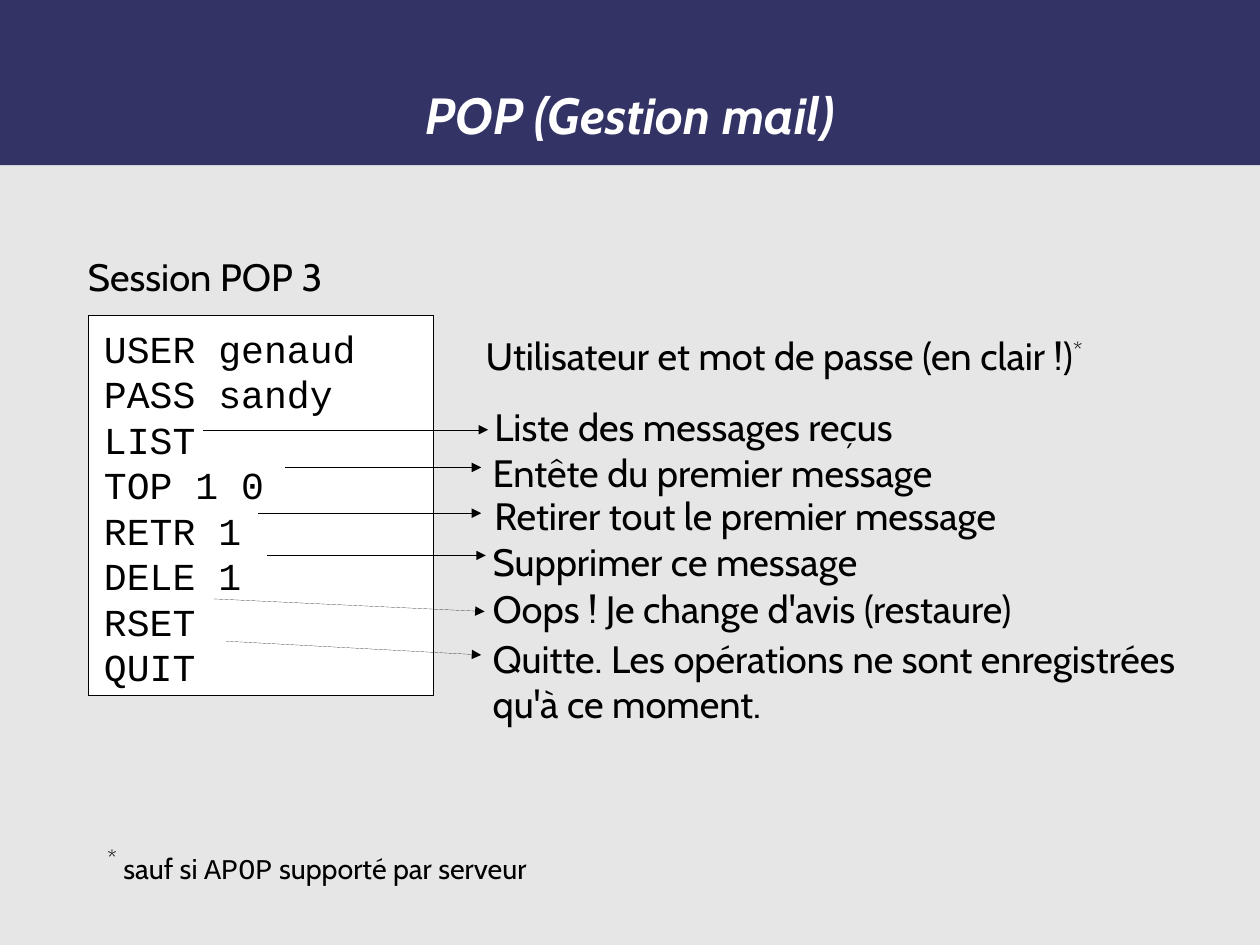
from dataclasses import dataclass

import pptx
import pptx.dml.color
import pptx.enum.shapes
import pptx.enum.text
import pptx.oxml
import pptx.oxml.ns
import pptx.util

SLIDE_WIDTH, SLIDE_HEIGHT = pptx.util.Cm(28), pptx.util.Cm(21)
# The grid has ten columns and ten rows to the inch.
CELL = pptx.util.Inches(0.1)
COLUMNS = SLIDE_WIDTH / CELL
SANS, MONO = "Cabin", "Courier New"
INK, PAPER, NAVY, GREY = "000000", "FFFFFF", "333366", "E6E6E6"
SUPERSCRIPT = "33000"


@dataclass
class Run:
    text: str
    size: float = 24
    font: str = SANS
    color: str = INK
    strong: bool = False
    raised: bool = False


@dataclass
class Area:
    column: float
    row: float
    columns: float
    rows: float = 4.6


@dataclass
class Explanation:
    area: Area
    lines: list[list[Run]]


@dataclass
class Arrow:
    start: tuple[float, float]
    end: tuple[float, float]


COMMANDS = ["USER genaud", "PASS sandy", "LIST", "TOP 1 0",
            "RETR 1", "DELE 1", "RSET", "QUIT"]

EXPLANATIONS = [
    Explanation(Area(42.5, 29.1, 64.6),
                [[Run("Utilisateur et mot de passe (en clair !)"), Run("*", raised=True)]]),
    Explanation(Area(43.25, 35.3, 42.8), [[Run("Liste des messages reçus")]]),
    Explanation(Area(43.1, 39.35, 46.5), [[Run("Entête du premier message")]]),
    Explanation(Area(43.25, 43.05, 53.5), [[Run("Retirer tout le premier message")]]),
    Explanation(Area(43.1, 47.15, 38.4), [[Run("Supprimer ce message")]]),
    Explanation(Area(43.1, 51.2, 56.8), [[Run("Oops ! Je change d'avis (restaure)")]]),
    Explanation(Area(43.1, 55.55, 66, 9.1),
                [[Run("Quitte. Les opérations ne sont enregistrées")],
                 [Run("qu'à ce moment.")]]),
    Explanation(Area(7.7, 22.15, 23.6), [[Run("Session POP 3")]]),
    Explanation(Area(9.4, 73.6, 44.9),
                [[Run("*", raised=True), Run(" sauf si ", 18), Run("APOP", 18, MONO),
                  Run(" supporté par serveur", 18)]]),
]

ARROWS = [
    Arrow((17.8, 37.6), (42.7, 37.6)),
    Arrow((24.9, 40.9), (42.1, 40.9)),
    Arrow((22.6, 44.9), (42.1, 44.9)),
    Arrow((23.4, 48.6), (42.5, 48.6)),
    Arrow((18.7, 52.4), (42.4, 53.5)),
    Arrow((19.8, 56.1), (42.1, 57.3)),
]


def cells(count: float) -> int:
    return round(count * CELL)


def place(area: Area) -> tuple[int, int, int, int]:
    return cells(area.column), cells(area.row), cells(area.columns), cells(area.rows)


def rgb(color: str) -> pptx.dml.color.RGBColor:
    return pptx.dml.color.RGBColor.from_string(color)


def set_hairline(line, color: str):
    """Set the thinnest line; zero width has to be written out in the XML."""
    line.color.rgb = rgb(color)
    outline = line._get_or_add_ln()
    outline.set("w", "0")
    return outline


def draw_panel(slide, area: Area, fill: str, outline: str | None = None) -> None:
    panel = slide.shapes.add_shape(
        pptx.enum.shapes.MSO_SHAPE.RECTANGLE, *place(area))
    panel.shadow.inherit = False
    panel.fill.solid()
    panel.fill.fore_color.rgb = rgb(fill)
    if outline is None:
        panel.line.fill.background()
    else:
        set_hairline(panel.line, outline)


def draw_text(slide, area: Area, lines: list[list[Run]],
              align=pptx.enum.text.PP_ALIGN.LEFT,
              anchor=pptx.enum.text.MSO_ANCHOR.TOP,
              spacing: float | None = None) -> None:
    """Write one paragraph for each line; spacing is the line pitch in points."""
    frame = slide.shapes.add_textbox(*place(area)).text_frame
    frame.word_wrap = True
    frame.vertical_anchor = anchor
    frame.margin_left = frame.margin_right = 0
    frame.margin_top = frame.margin_bottom = 0
    for number, line in enumerate(lines):
        paragraph = frame.add_paragraph() if number else frame.paragraphs[0]
        paragraph.alignment = align
        if spacing is not None:
            paragraph.line_spacing = pptx.util.Pt(spacing)
        for part in line:
            run = paragraph.add_run()
            run.text = part.text
            run.font.size = pptx.util.Pt(part.size)
            run.font.name = part.font
            run.font.color.rgb = rgb(part.color)
            run.font.bold = run.font.italic = part.strong
            if part.raised:
                run.font._element.set("baseline", SUPERSCRIPT)


def draw_arrow(slide, arrow: Arrow) -> None:
    connector = slide.shapes.add_connector(
        pptx.enum.shapes.MSO_CONNECTOR.STRAIGHT,
        *map(cells, arrow.start + arrow.end))
    namespace = pptx.oxml.ns.nsdecls("a")
    set_hairline(connector.line, INK).append(
        pptx.oxml.parse_xml(f'<a:tailEnd {namespace} type="triangle"/>'))
    connector._element.spPr.append(
        pptx.oxml.parse_xml(f'<a:effectLst {namespace}/>'))


def main() -> None:
    presentation = pptx.Presentation()
    presentation.slide_width = SLIDE_WIDTH
    presentation.slide_height = SLIDE_HEIGHT
    slide = presentation.slides.add_slide(presentation.slide_layouts[6])
    slide.background.fill.solid()
    slide.background.fill.fore_color.rgb = rgb(GREY)

    draw_panel(slide, Area(0, 0, COLUMNS, 14.45), NAVY)
    draw_text(slide, Area(8.1, 3.1, 94.1, 13.8),
              [[Run("POP (Gestion mail)", 32, color=PAPER, strong=True)]],
              pptx.enum.text.PP_ALIGN.CENTER, pptx.enum.text.MSO_ANCHOR.MIDDLE)

    draw_panel(slide, Area(7.7, 27.6, 30.2, 33.3), PAPER, INK)
    draw_text(slide, Area(9.1, 28.45, 26, 31.7),
              [[Run(command, font=MONO)] for command in COMMANDS], spacing=28.7)

    for explanation in EXPLANATIONS:
        draw_text(slide, explanation.area, explanation.lines)
    for arrow in ARROWS:
        draw_arrow(slide, arrow)

    presentation.save("out.pptx")


if __name__ == "__main__":
    main()
